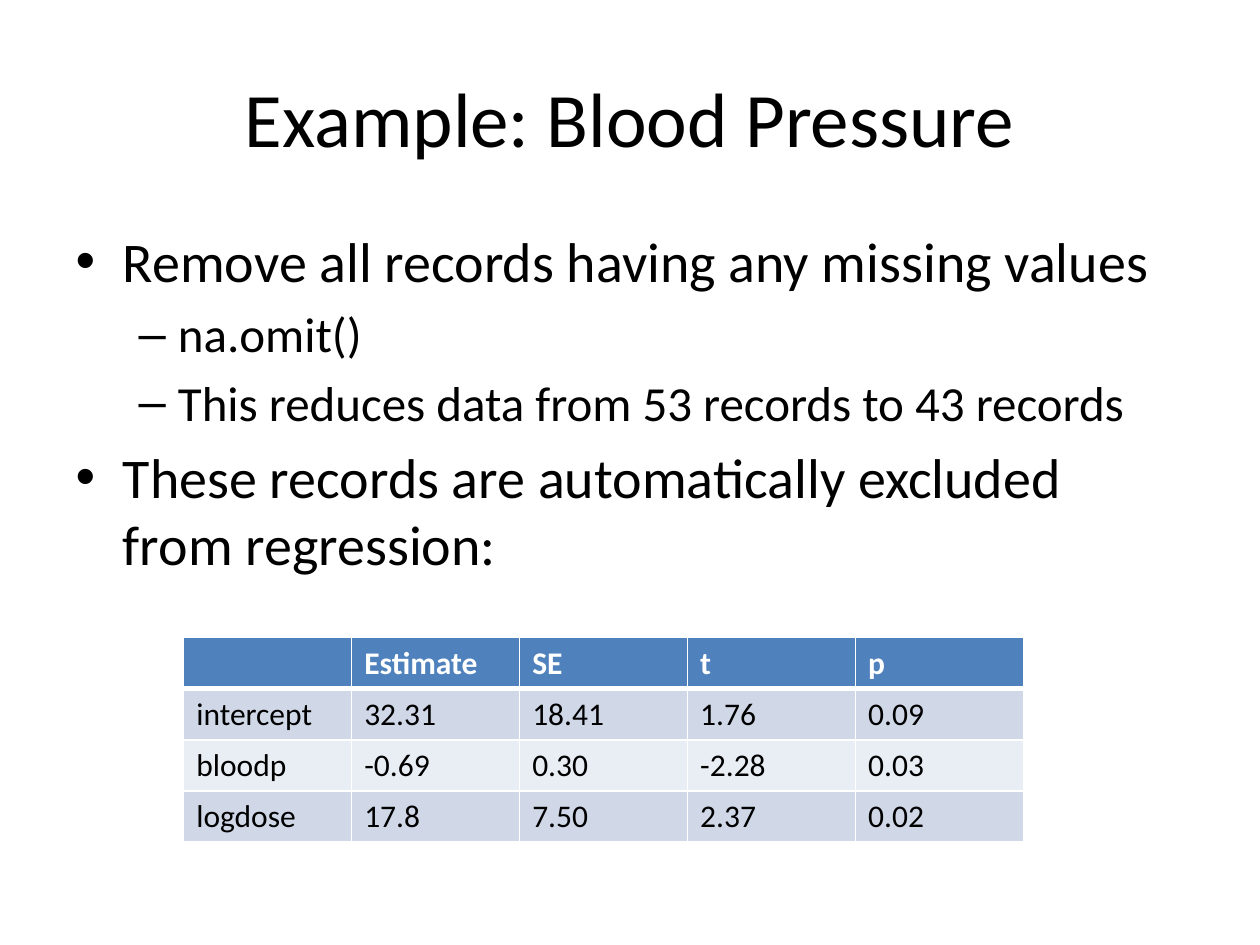
"""Build the blood pressure slide on missing values and the regression table."""
from lxml.etree import SubElement
from pptx import Presentation
from pptx.dml.color import RGBColor as Color
from pptx.enum.text import MSO_ANCHOR as Anchor, MSO_AUTO_SIZE as AutoSize, PP_ALIGN as Align
from pptx.oxml.ns import qn
from pptx.util import Pt

TITLE = "Example: Blood Pressure"
POINTS = [
    (0, "Remove all records having any missing values"),
    (1, "na.omit()"),
    (1, "This reduces data from 53 records to 43 records"),
    (0, "These records are automatically excluded from regression:"),
]
COEFFICIENTS = [
    ("", "Estimate", "SE", "t", "p"),
    ("intercept", "32.31", "18.41", "1.76", "0.09"),
    ("bloodp", "-0.69", "0.30", "-2.28", "0.03"),
    ("logdose", "17.8", "7.50", "2.37", "0.02"),
]
THEME = {
    "font": "Calibri",
    "title_size": 44,
    "level_sizes": (32, 28),
    "table_size": 18,
    "text": "000000",
    "header": "4F81BD",
    "header_text": "FFFFFF",
    "bands": ("E9EDF4", "D0D8E8"),
    "border": "FFFFFF",
}
TITLE_BOX = (36, 21.6, 648, 90)
BODY_BOX = (36, 126, 648, 229)
TABLE_LEFT, TABLE_TOP = 105, 364.4
COLUMN_WIDTH, ROW_HEIGHT = 96, 29.2


def place(shape, box):
    shape.left, shape.top, shape.width, shape.height = map(Pt, box)
    shape.text_frame.auto_size = AutoSize.NONE


def style(paragraph, size, color, bold=False):
    font = paragraph.font
    font.name = THEME["font"]
    font.size = Pt(size)
    font.bold = bold
    font.color.rgb = Color.from_string(color)


def add_borders(cell, bottom_width):
    properties = cell._tc.get_or_add_tcPr()
    widths = {"a:lnL": 1, "a:lnR": 1, "a:lnT": 1, "a:lnB": bottom_width}
    for index, (tag, width) in enumerate(widths.items()):
        line = SubElement(properties, qn(tag), w=str(Pt(width)))
        fill = SubElement(line, qn("a:solidFill"))
        SubElement(fill, qn("a:srgbClr"), val=THEME["border"])
        properties.insert(index, line)


def fill_title(shape):
    place(shape, TITLE_BOX)
    shape.text_frame.vertical_anchor = Anchor.MIDDLE
    paragraph = shape.text_frame.paragraphs[0]
    paragraph.text = TITLE
    paragraph.alignment = Align.CENTER
    style(paragraph, THEME["title_size"], THEME["text"])


def fill_body(shape):
    place(shape, BODY_BOX)
    frame = shape.text_frame
    for index, (level, text) in enumerate(POINTS):
        paragraph = frame.add_paragraph() if index else frame.paragraphs[0]
        paragraph.text = text
        paragraph.level = level
        style(paragraph, THEME["level_sizes"][level], THEME["text"])
    frame.paragraphs[0].space_before = Pt(0)


def add_coefficients(slide):
    rows, columns = len(COEFFICIENTS), len(COEFFICIENTS[0])
    table = slide.shapes.add_table(
        rows, columns, Pt(TABLE_LEFT), Pt(TABLE_TOP),
        Pt(columns * COLUMN_WIDTH), Pt(rows * ROW_HEIGHT)).table
    for row, values in enumerate(COEFFICIENTS):
        header = row == 0
        background = THEME["header"] if header else THEME["bands"][row % 2]
        color = THEME["header_text"] if header else THEME["text"]
        for column, value in enumerate(values):
            cell = table.cell(row, column)
            cell.text = value
            cell.fill.solid()
            cell.fill.fore_color.rgb = Color.from_string(background)
            add_borders(cell, 3 if header else 1)
            style(cell.text_frame.paragraphs[0], THEME["table_size"], color, header)
        if row == 1:
            for cell in table.rows[row].cells:
                cell._tc.tcPr.find(qn("a:lnT")).set("w", str(Pt(3)))


def main():
    presentation = Presentation()
    presentation.slide_width, presentation.slide_height = Pt(720), Pt(540)
    slide = presentation.slides.add_slide(presentation.slide_layouts[1])
    fill_title(slide.shapes.title)
    fill_body(slide.placeholders[1])
    add_coefficients(slide)
    presentation.save("out.pptx")


if __name__ == "__main__":
    main()
